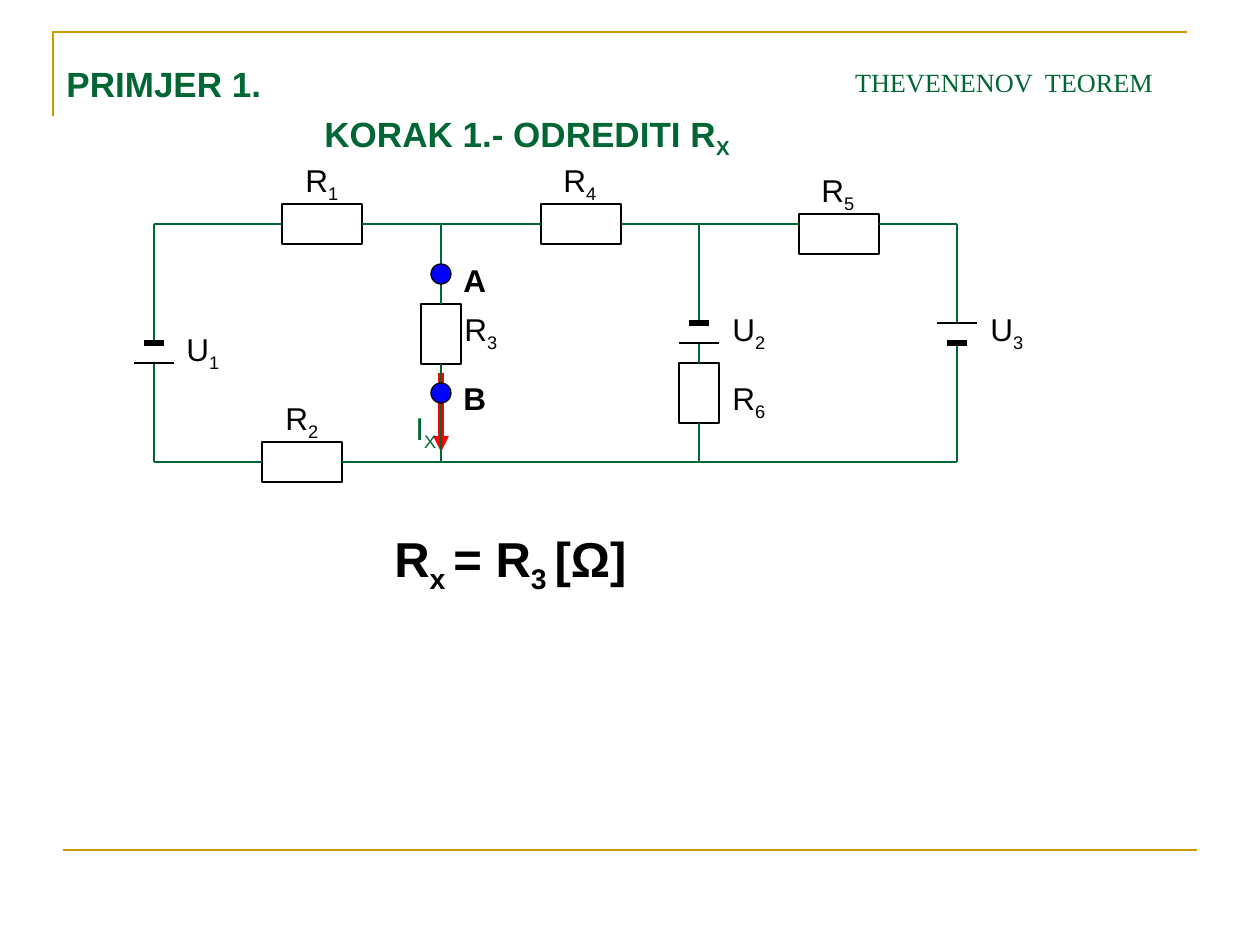
from lxml import etree
from pptx import Presentation
from pptx.dml.color import RGBColor
from pptx.enum import shapes, text
from pptx.oxml.ns import qn
from pptx.util import Pt

PX = 914400 / 126
COLORS = {name: RGBColor.from_string(value) for name, value in {
    "gold": "CC9900", "green": "006633", "black": "000000",
    "white": "FFFFFF", "red": "FF0000", "blue": "0000FF",
}.items()}


def px(*lengths):
    return [round(length * PX) for length in lengths]


def write(box, parts, size, color="black", bold=False, font="Arial"):
    """Fill the box with one paragraph; every second part is a subscript."""
    box.text_frame.word_wrap = True
    para = box.text_frame.paragraphs[0]
    for index, part in enumerate(parts):
        span = para.add_run()
        span.text = part
        if index % 2:
            span._r.get_or_add_rPr().set("baseline", "-25000")
    para.font.name, para.font.size, para.font.bold = font, Pt(size), bold
    para.font.color.rgb = COLORS[color]


deck = Presentation()
deck.slide_width, deck.slide_height = px(1260, 945)
page = deck.slides.add_slide(deck.slide_layouts[5])

# Frame and title
builder = page.shapes.build_freeform(53, 116, scale=PX)
builder.add_line_segments([(53, 32), (1187, 32)], close=False)
bracket = builder.convert_to_shape()
bracket.shadow.inherit = False
bracket.fill.background()
bracket.line.color.rgb, bracket.line.width = COLORS["gold"], Pt(1.5)

title = page.shapes.title
title.left, title.top, title.width, title.height = px(748, 35, 512, 69)
title.text_frame.auto_size = text.MSO_AUTO_SIZE.NONE
title.text_frame.vertical_anchor = text.MSO_ANCHOR.BOTTOM
write(title, ["THEVENENOV  TEOREM"], 15, "green", font="Times New Roman")

# Resistors: their side middles are the joints for the wires
joints = {}
for left, top, width, height in [
    (282, 204, 80, 40), (262, 442, 80, 40), (541, 204, 80, 40),
    (799, 214, 80, 40), (421, 304, 40, 60), (679, 363, 40, 60),
]:
    resistor = page.shapes.add_shape(
        shapes.MSO_SHAPE.RECTANGLE, *px(left, top, width, height))
    resistor.shadow.inherit = False
    resistor.fill.solid()
    resistor.fill.fore_color.rgb = COLORS["white"]
    resistor.line.color.rgb, resistor.line.width = COLORS["black"], Pt(0.75)
    middle_x, middle_y = left + width // 2, top + height // 2
    sides = [(middle_x, top), (left, middle_y),
             (middle_x, top + height), (left + width, middle_y)]
    for site, point in enumerate(sides):
        joints[point] = resistor, site

# Lines: footer rule, current arrow, wires, battery plates
X1, X2, X3, X4 = 154, 441, 699, 957
TOP, BOTTOM = 224, 462
wires = [
    (X1, 343, X1, TOP), (X1, TOP, 282, TOP), (362, TOP, X2, TOP),
    (X1, 363, X1, BOTTOM), (X1, BOTTOM, 262, BOTTOM), (342, BOTTOM, X2, BOTTOM),
    (X2, TOP, X2, 304), (X2, 364, X2, 393), (X2, 393, X2, BOTTOM),
    (X2, TOP, 541, TOP), (621, TOP, X3, TOP), (X2, BOTTOM, X3, BOTTOM),
    (X3, TOP, X3, 323), (X3, 343, X3, 363), (X3, 423, X3, BOTTOM),
    (X3, TOP, 799, TOP), (879, TOP, X4, TOP), (X3, BOTTOM, X4, BOTTOM),
    (X4, TOP, X4, 323), (X4, 343, X4, BOTTOM),
]
lines = [(63, 850, 1197, 850, "gold", 1.5), (X2, 373, X2, 452, "red", 3)]
lines += [(*wire, "green", 1) for wire in wires]
for x, thick_y, thin_y in [(X1, 343, 363), (X3, 323, 343), (X4, 343, 323)]:
    lines += [(x - 10, thick_y, x + 10, thick_y, "black", 3),
              (x - 20, thin_y, x + 20, thin_y, "black", 0.75)]

for x1, y1, x2, y2, color, width in lines:
    line = page.shapes.add_connector(
        shapes.MSO_CONNECTOR.STRAIGHT, *px(x1, y1, x2, y2))
    line.line.color.rgb, line.line.width = COLORS[color], Pt(width)
    if color == "red":
        etree.SubElement(line.line._get_or_add_ln(), qn("a:tailEnd"), type="triangle")
    etree.SubElement(line._element.spPr, qn("a:effectLst"))
    if color == "green":
        if (x1, y1) in joints:
            line.begin_connect(*joints[x1, y1])
        if (x2, y2) in joints:
            line.end_connect(*joints[x2, y2])

# Terminals A and B
for top in (264, 383):
    terminal = page.shapes.add_shape(shapes.MSO_SHAPE.OVAL, *px(X2 - 10, top, 20, 20))
    terminal.shadow.inherit = False
    terminal.fill.solid()
    terminal.fill.fore_color.rgb = COLORS["blue"]
    terminal.line.color.rgb, terminal.line.width = COLORS["black"], Pt(0.75)

# Symbols beside the parts
for name, index, left, top, color in [
    ("R", "1", 293, 155, "black"), ("R", "2", 273, 393, "black"),
    ("R", "3", 452, 304, "black"), ("R", "4", 551, 155, "black"),
    ("R", "5", 809, 165, "black"), ("R", "6", 720, 373, "black"),
    ("U", "1", 174, 324, "black"), ("U", "2", 720, 304, "black"),
    ("U", "3", 978, 304, "black"), ("I", "X", 403, 403, "green"),
]:
    box = page.shapes.add_textbox(*px(left, top, 64, 55))
    write(box, [name, index], 18, color)

# Bold texts
for parts, left, top, width, height, size, color in [
    (["PRIMJER 1."], 54, 56, 223, 55, 20, "green"),
    (["KORAK 1.- ODREDITI R", "X"], 312, 106, 586, 60, 20, "green"),
    (["A"], 451, 255, 80, 50, 18, "black"),
    (["B"], 451, 373, 80, 50, 18, "black"),
    (["R", "x ", "= R", "3 ", "[Ω]"], 382, 522, 307, 79, 28, "black"),
]:
    box = page.shapes.add_textbox(*px(left, top, width, height))
    write(box, parts, size, color, bold=True)

deck.save("out.pptx")
